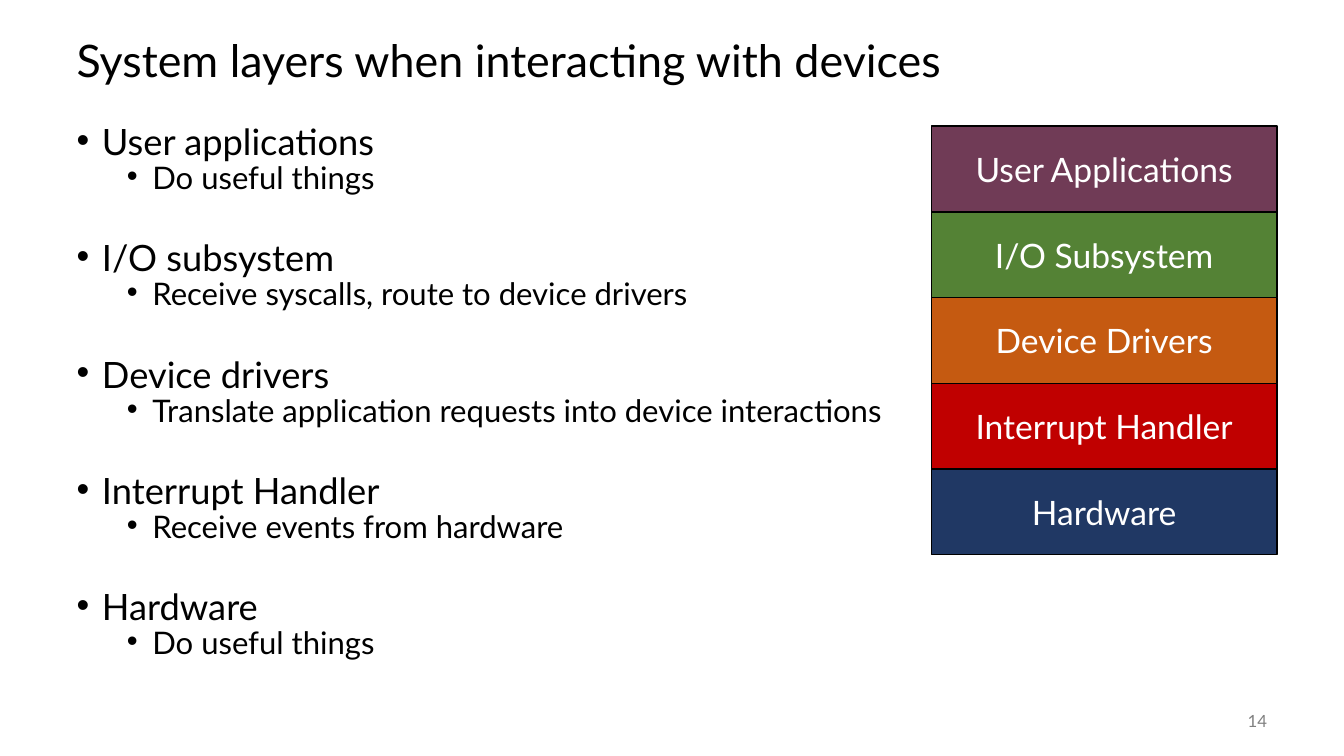
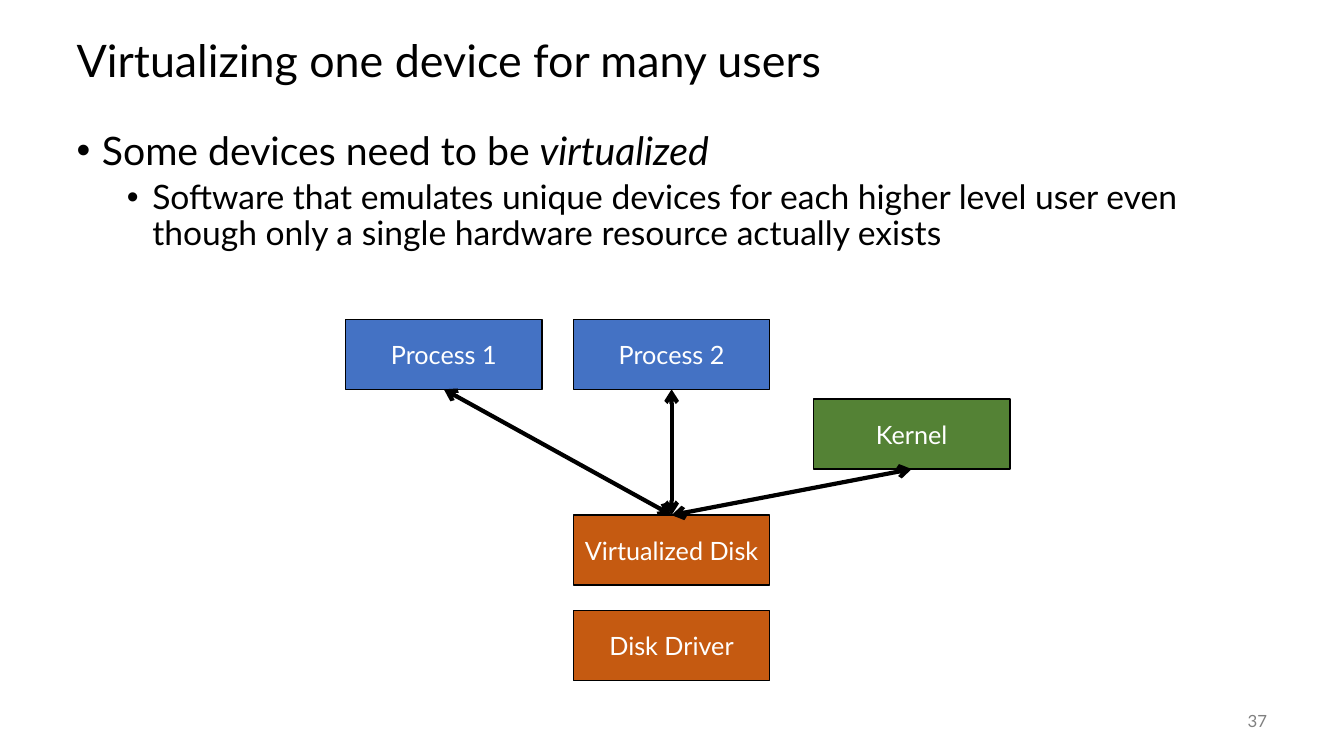
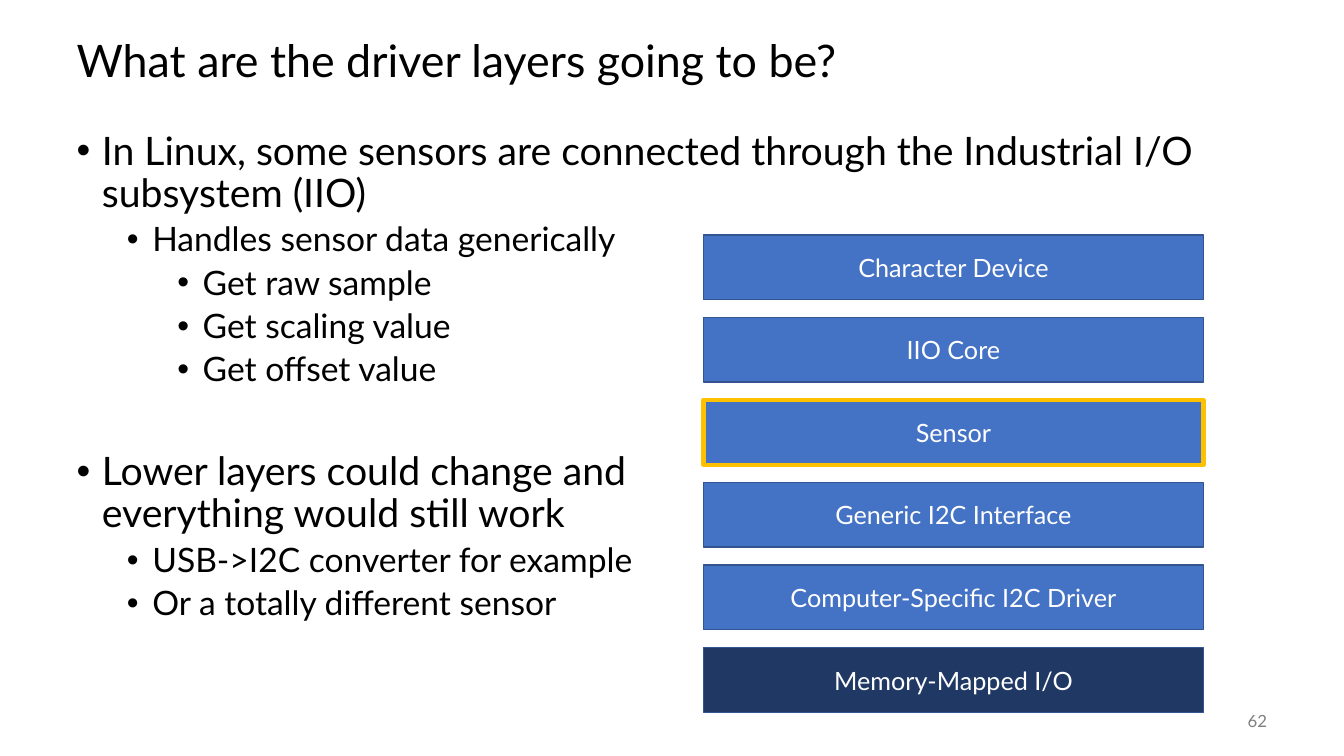
from lxml.etree import SubElement
from pptx import Presentation
from pptx.dml.color import RGBColor
from pptx.enum.shapes import MSO_CONNECTOR, MSO_SHAPE
from pptx.enum.text import MSO_ANCHOR, PP_ALIGN
from pptx.oxml.ns import qn
from pptx.util import Cm, Pt

RECT, LINE = MSO_SHAPE.RECTANGLE, MSO_CONNECTOR.STRAIGHT
MIDDLE, TOP = MSO_ANCHOR.MIDDLE, MSO_ANCHOR.TOP
LEFT, RIGHT, CENTER = PP_ALIGN.LEFT, PP_ALIGN.RIGHT, PP_ALIGN.CENTER
BOTTOM_SITE, TOP_SITE = 2, 0


class Theme:
    font = "Lato"
    black, white, gray = "000000", "FFFFFF", "808080"
    blue, navy, edge = "4472C4", "203864", "325491"
    plum, green, rust, red, gold = "703B56", "548235", "C55A11", "C00000", "FFC000"
    title, label, layer, page = 32, 18, 24, 12
    thin, thick = 1, 3


def put(para, text, size, color, tail="", **form):
    """Fill a paragraph; tail is added in italics, form holds paragraph attributes."""
    para.text = text
    if tail:
        para.add_run().text = tail
    for key, value in form.items():
        setattr(para, key, value)
    for run in para.runs:
        look = {"name": Theme.font, "size": Pt(size), "italic": run.text == tail}
        for key, value in look.items():
            setattr(run.font, key, value)
        run.font.color.rgb = RGBColor.from_string(color)


def box(shapes, place, text, fill, size=Theme.label, edge=Theme.black, width=Theme.thin):
    shape = shapes.add_shape(RECT, *map(Cm, place))
    shape.shadow.inherit = False
    shape.fill.solid()
    shape.fill.fore_color.rgb = RGBColor.from_string(fill)
    shape.line.color.rgb = RGBColor.from_string(edge)
    shape.line.width = Pt(width)
    shape.text_frame.vertical_anchor = MIDDLE
    put(shape.text_frame.paragraphs[0], text, size, Theme.white, alignment=CENTER)
    return shape


pages = [
    {
        "title": "System layers when interacting with devices",
        "page": "14", "width": 21.08, "sizes": (25.9, 22.2), "pitch": 0.7, "gap": 37.65,
        "rows": [
            (0, "User applications"),
            (1, "Do useful things"),
            (0, "I/O subsystem"),
            (1, "Receive syscalls, route to device drivers"),
            (0, "Device drivers"),
            (1, "Translate application requests into device interactions"),
            (0, "Interrupt Handler"),
            (1, "Receive events from hardware"),
            (0, "Hardware"),
            (1, "Do useful things"),
        ],
    },
    {
        "title": "Virtualizing one device for many users",
        "page": "37", "width": 30.48, "sizes": (28, 24), "pitch": 0.9, "gap": 14,
        "rows": [
            (0, "Some devices need to be ", "virtualized"),
            (1, "Software that emulates unique devices for each higher level user even "
                "though only a single hardware resource actually exists"),
        ],
    },
    {
        "title": "What are the driver layers going to be?",
        "page": "62", "width": 30.48, "sizes": (28, 24), "pitch": 0.9, "gap": 44.9,
        "rows": [
            (0, "In Linux, some sensors are connected through the Industrial I/O subsystem (IIO)"),
            (1, "Handles sensor data generically"),
            (2, "Get raw sample"),
            (2, "Get scaling value"),
            (2, "Get offset value"),
            (0, "Lower layers could change and\neverything would still work"),
            (1, "USB->I2C converter for example"),
            (1, "Or a totally different sensor"),
        ],
    },
]

deck = Presentation()
deck.slide_width, deck.slide_height = Cm(33.87), Cm(19.05)

# Titles, page numbers and bullets
slides = []
for page in pages:
    slide = deck.slides.add_slide(deck.slide_layouts[6])
    slides.append(slide)
    frames = []
    for place, anchor in (
        ((1.68, 0.64, 30.48, 1.9), MIDDLE),
        ((1.68, 3.18, page["width"], 13.97), TOP),
        ((29.64, 17.65, 2.54, 1.02), MIDDLE),
    ):
        frame = slide.shapes.add_textbox(*map(Cm, place)).text_frame
        frame.word_wrap = True
        frame.vertical_anchor = anchor
        frames.append(frame)
    head, body, foot = frames
    put(head.paragraphs[0], page["title"], Theme.title, Theme.black,
        alignment=LEFT, line_spacing=0.9)
    put(foot.paragraphs[0], page["page"], Theme.page, Theme.gray, alignment=RIGHT)

    for i, (level, text, *tail) in enumerate(page["rows"]):
        para = body.add_paragraph() if i else body.paragraphs[0]
        props = para._p.get_or_add_pPr()
        props.set("marL", str(Cm(0.64 + 1.27 * level)))
        props.set("indent", str(-Cm(0.64)))
        SubElement(props, qn("a:buFont")).set("typeface", "Arial")
        SubElement(props, qn("a:buChar")).set("char", "•")
        space = 0 if i == 0 else 5 if level else page["gap"]
        put(para, text, page["sizes"][min(level, 1)], Theme.black, *tail,
            level=level, line_spacing=page["pitch"], space_before=Pt(space))

layers, users, stack = slides

# System layers
group = layers.shapes.add_group_shape()
for i, (text, fill) in enumerate((
    ("User Applications", Theme.plum),
    ("I/O Subsystem", Theme.green),
    ("Device Drivers", Theme.rust),
    ("Interrupt Handler", Theme.red),
    ("Hardware", Theme.navy),
)):
    box(group.shapes, (23.47, 3.18 + 2.16 * i, 8.71, 2.16), text, fill, Theme.layer)

# One disk shared by many users
nodes = {}
for text, left, top, fill in (
    ("Process 1", 8.71, 8.05, Theme.blue),
    ("Process 2", 14.45, 8.05, Theme.blue),
    ("Kernel", 20.5, 10.06, Theme.green),
    ("Disk Driver", 14.45, 15.39, Theme.rust),
    ("Virtualized Disk", 14.45, 12.98, Theme.rust),
):
    nodes[text] = box(users.shapes, (left, top, 4.95, 1.76), text, fill)

for user in ("Process 1", "Process 2", "Kernel"):
    link = users.shapes.add_connector(LINE, 0, 0, 0, 0)
    link.begin_connect(nodes["Virtualized Disk"], TOP_SITE)
    link.end_connect(nodes[user], BOTTOM_SITE)
    link.line.color.rgb = RGBColor.from_string(Theme.black)
    link.line.width = Pt(Theme.thick)
    for end in ("a:headEnd", "a:tailEnd"):
        SubElement(link.line._get_or_add_ln(), qn(end)).set("type", "arrow")
    SubElement(link._element.spPr, qn("a:effectLst"))

# Driver stack
plain = {"fill": Theme.blue, "edge": Theme.edge}
for i, (text, change) in enumerate((
    ("Character Device", {}),
    ("IIO Core", {}),
    ("Sensor", {"edge": Theme.gold, "width": Theme.thick}),
    ("Generic I2C Interface", {}),
    ("Computer-Specific I2C Driver", {}),
    ("Memory-Mapped I/O", {"fill": Theme.navy}),
)):
    box(stack.shapes, (17.73, 5.92 + 2.08 * i, 12.6, 1.63), text, **{**plain, **change})

deck.save("out.pptx")
